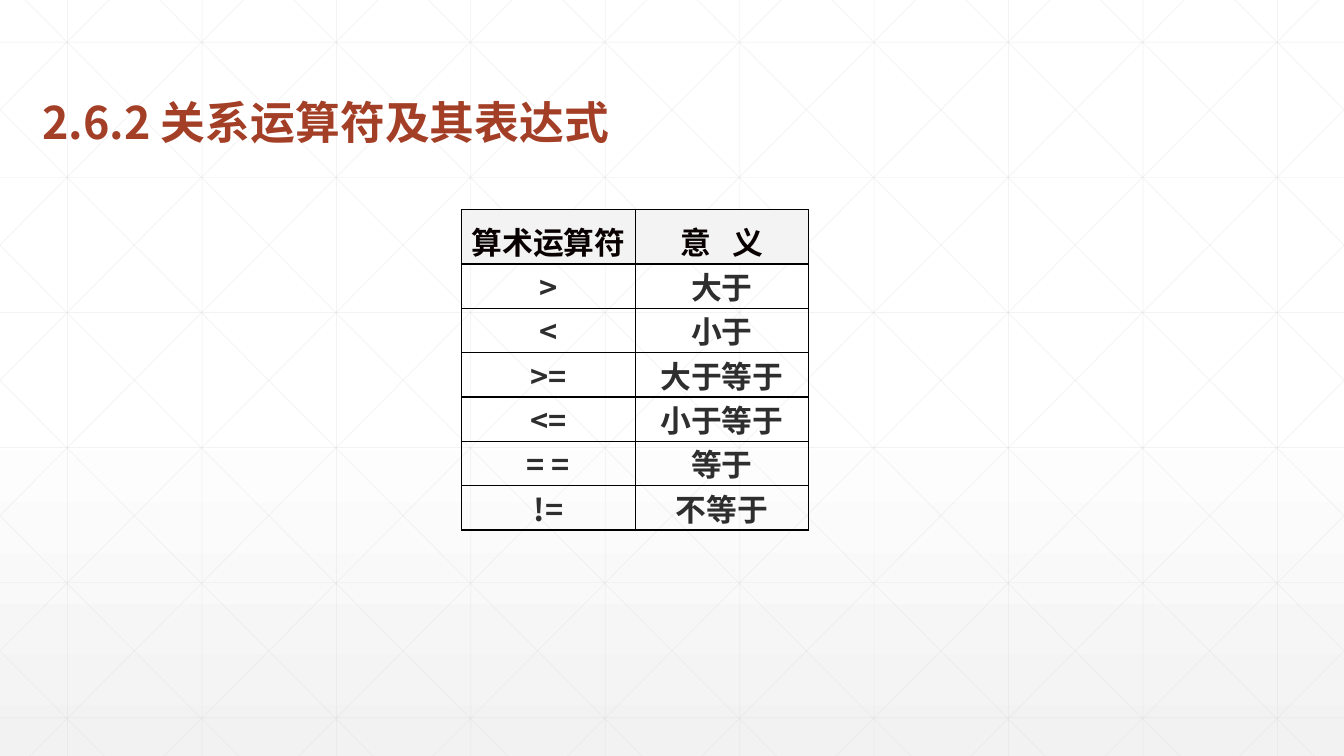
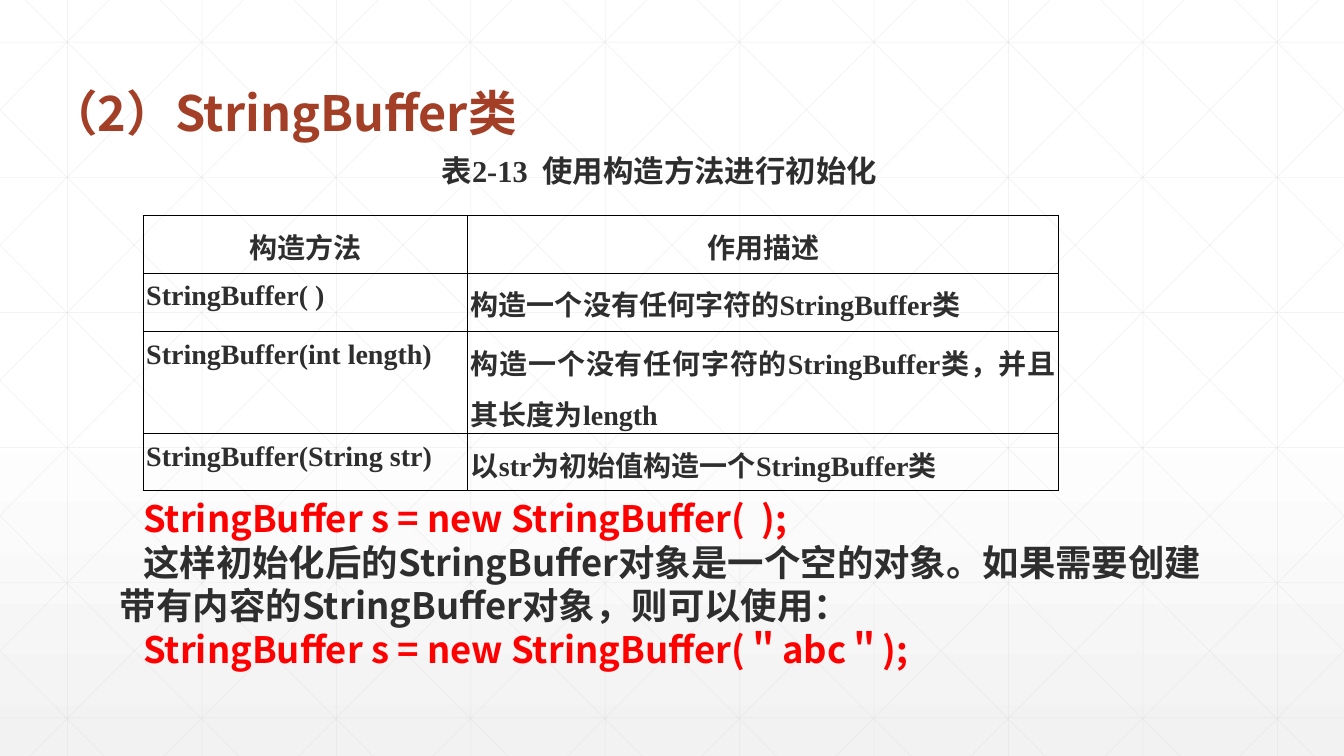
from lxml.etree import SubElement
from pptx import Presentation
from pptx.dml.color import RGBColor
from pptx.enum.shapes import MSO_CONNECTOR
from pptx.enum.text import MSO_ANCHOR, PP_ALIGN
from pptx.oxml.ns import qn
from pptx.util import Inches, Pt

WHITE = RGBColor(0xFF, 0xFF, 0xFF)
PALE_GREY = RGBColor(0xF2, 0xF2, 0xF2)
HEADER_GREY = RGBColor(0xF3, 0xF3, 0xF3)
GRID_GREY = RGBColor(0xD9, 0xD9, 0xD9)
BLACK = RGBColor(0x08, 0x00, 0x01)
INK = RGBColor(0x2D, 0x2E, 0x2D)
RUST = RGBColor(0xA4, 0x3F, 0x27)
RED = RGBColor(0xFF, 0x00, 0x00)

SANS = "Noto Sans CJK SC"
SERIF = "Times New Roman"

WIDTH, HEIGHT = 13.33, 7.5
GRID_STEP = 4 / 3
DIAGONAL_RUN = 7.45

OPERATOR_TITLE = "2.6.2 关系运算符及其表达式"
OPERATOR_ROWS = [
    ("算术运算符", "意 义"),
    (">", "大于"),
    ("<", "小于"),
    (">=", "大于等于"),
    ("<=", "小于等于"),
    ("= =", "等于"),
    ("!=", "不等于"),
]

BUFFER_TITLE = "（2）StringBuffer类"
BUFFER_CAPTION = "表2-13\t使用构造方法进行初始化"
CONSTRUCTOR_ROWS = [
    ("构造方法", "作用描述"),
    ("StringBuffer( )", "构造一个没有任何字符的StringBuffer类"),
    ("StringBuffer(int length)", "构造一个没有任何字符的StringBuffer类，并且其长度为length"),
    ("StringBuffer(String str)", "以str为初始值构造一个StringBuffer类"),
]
BUFFER_NOTES = [
    ("StringBuffer s = new StringBuffer(  );", RED),
    ("这样初始化后的StringBuffer对象是一个空的对象。"
     "如果需要创建带有内容的StringBuffer对象，则可以使用：", INK),
    ("StringBuffer s = new StringBuffer(＂abc＂);", RED),
]

TITLE_STYLE = {"color": RUST, "line_spacing": 0.9}
OPERATOR_HEADER = {"size": 22, "color": BLACK, "alignment": PP_ALIGN.CENTER, "line_spacing": 1.2}
OPERATOR_SYMBOL = {"size": 22, "alignment": PP_ALIGN.CENTER}
OPERATOR_MEANING = {**OPERATOR_SYMBOL, "line_spacing": Pt(12)}
CONSTRUCTOR_BODY = {"size": 20, "font": SERIF, "alignment": PP_ALIGN.JUSTIFY, "line_spacing": 1.25}
CONSTRUCTOR_HEADER = {**CONSTRUCTOR_BODY, "alignment": PP_ALIGN.CENTER}


def write(paragraph, text, size, color=INK, font=SANS, tracking=None, **paragraph_format):
    for name, value in paragraph_format.items():
        setattr(paragraph, name, value)
    run = paragraph.add_run()
    run.text = text
    for name, value in {"size": Pt(size), "bold": True, "name": font}.items():
        setattr(run.font, name, value)
    run.font.color.rgb = color
    properties = run.font._element
    SubElement(properties, qn("a:ea"), typeface=SANS)
    if tracking:
        properties.set("spc", str(tracking * 100))


def set_margins(target, horizontal, vertical):
    target.margin_left = target.margin_right = Inches(horizontal)
    target.margin_top = target.margin_bottom = Inches(vertical)


def add_text_frame(slide, box, anchor, margins, wrap=True):
    frame = slide.shapes.add_textbox(*map(Inches, box)).text_frame
    frame.word_wrap = wrap
    frame.vertical_anchor = anchor
    set_margins(frame, *margins)
    return frame


def add_title(slide, text, left, top, size):
    frame = add_text_frame(slide, (left, top, 8.91, 1), MSO_ANCHOR.BOTTOM, (0.1, 0.05))
    write(frame.paragraphs[0], text, size, **TITLE_STYLE)


def add_borders(cell):
    properties = cell._tc.get_or_add_tcPr()
    for side in ("a:lnL", "a:lnR", "a:lnT", "a:lnB"):
        line = SubElement(properties, qn(side), w=str(Pt(1)))
        SubElement(SubElement(line, qn("a:solidFill")), qn("a:srgbClr"), val="000000")


def add_table(slide, rows, left, top, widths, heights, margin, style_of):
    """style_of(row, column) gives the text style, fill colour or None, and anchor."""
    table = slide.shapes.add_table(
        len(rows), len(widths), Inches(left), Inches(top),
        Inches(sum(widths)), Inches(sum(heights))).table
    table.first_row = table.horz_banding = False
    for column, width in zip(table.columns, widths):
        column.width = Inches(width)
    for row, height in zip(table.rows, heights):
        row.height = Inches(height)
    for row_index, row in enumerate(rows):
        for column_index, text in enumerate(row):
            cell = table.cell(row_index, column_index)
            style, fill, anchor = style_of(row_index, column_index)
            set_margins(cell, margin, 0)
            cell.vertical_anchor = anchor
            add_borders(cell)
            if fill is None:
                cell.fill.background()
            else:
                cell.fill.solid()
                cell.fill.fore_color.rgb = fill
            write(cell.text_frame.paragraphs[0], text, **style)


def operator_style(row, column):
    if row == 0:
        tracking = 5 if column == 1 else None
        return {**OPERATOR_HEADER, "tracking": tracking}, HEADER_GREY, MSO_ANCHOR.TOP
    return (OPERATOR_SYMBOL, OPERATOR_MEANING)[column], None, MSO_ANCHOR.BOTTOM


def constructor_style(row, column):
    return CONSTRUCTOR_BODY if row else CONSTRUCTOR_HEADER, None, MSO_ANCHOR.TOP


def grid_lines():
    """Upright, level and both sets of diagonal lines, clipped to the slide."""
    lines = [(x, 0, x, HEIGHT) for x in (0.67 + GRID_STEP * i for i in range(10))]
    lines += [(0, y, WIDTH, y) for y in (0.42 + 1.34 * i for i in range(6))]
    slope = HEIGHT / DIAGONAL_RUN
    for i in range(-5, 10):
        top_x = 0.25 + GRID_STEP * i
        start, end = max(top_x, 0), min(top_x + DIAGONAL_RUN, WIDTH)
        start_y, end_y = ((x - top_x) * slope for x in (start, end))
        lines.append((start, start_y, end, end_y))
        lines.append((WIDTH - start, start_y, WIDTH - end, end_y))
    return lines


def decorate_layout(layout, slide):
    """Give the layout its gradient and grid; connectors are made on the slide and moved."""
    fill = layout.background.fill
    fill.gradient()
    fill.gradient_angle = 270
    for stop, position, color in zip(fill.gradient_stops, (0.53, 1), (WHITE, PALE_GREY)):
        stop.position = position
        stop.color.rgb = color
    for points in grid_lines():
        connector = slide.shapes.add_connector(MSO_CONNECTOR.STRAIGHT, *map(Inches, points))
        connector.line.width = Pt(0.5)
        connector.line.color.rgb = GRID_GREY
        properties = connector.element.spPr
        SubElement(next(properties.iter(qn("a:srgbClr"))), qn("a:alpha"), val="30000")
        SubElement(properties, qn("a:effectLst"))
        layout.shapes.element.append(connector.element)


def build_operator_slide(slide):
    add_title(slide, OPERATOR_TITLE, 0.32, 0.53, 32)
    add_table(slide, OPERATOR_ROWS, 4.58, 2.08, [1.72] * 2, [0.54] + [0.44] * 6,
              0.01, operator_style)


def build_buffer_slide(slide):
    add_table(slide, CONSTRUCTOR_ROWS, 1.42, 2.14, [3.22, 5.86], [0.57, 0.58, 1.01, 0.57],
              0.03, constructor_style)
    caption = add_text_frame(slide, (4.29, 1.47, 4.54, 0.45), MSO_ANCHOR.TOP,
                             (0.09, 0.04), wrap=False)
    write(caption.paragraphs[0], BUFFER_CAPTION, 21.7, font=SERIF)
    notes = add_text_frame(slide, (1.1, 4.87, 11.25, 1.84), MSO_ANCHOR.MIDDLE, (0.09, 0.04))
    for index, (text, color) in enumerate(BUFFER_NOTES):
        paragraph = notes.add_paragraph() if index else notes.paragraphs[0]
        paragraph._p.get_or_add_pPr().set("indent", str(Inches(0.23)))
        write(paragraph, text, 26, color, line_spacing=Pt(31))
    add_title(slide, BUFFER_TITLE, 0.39, 0.46, 34.7)


def main():
    presentation = Presentation()
    presentation.slide_width, presentation.slide_height = Inches(WIDTH), Inches(HEIGHT)
    blank = presentation.slide_layouts[6]
    operator_slide, buffer_slide = (presentation.slides.add_slide(blank) for _ in range(2))
    decorate_layout(blank, operator_slide)
    build_operator_slide(operator_slide)
    build_buffer_slide(buffer_slide)
    presentation.save("out.pptx")


if __name__ == "__main__":
    main()
